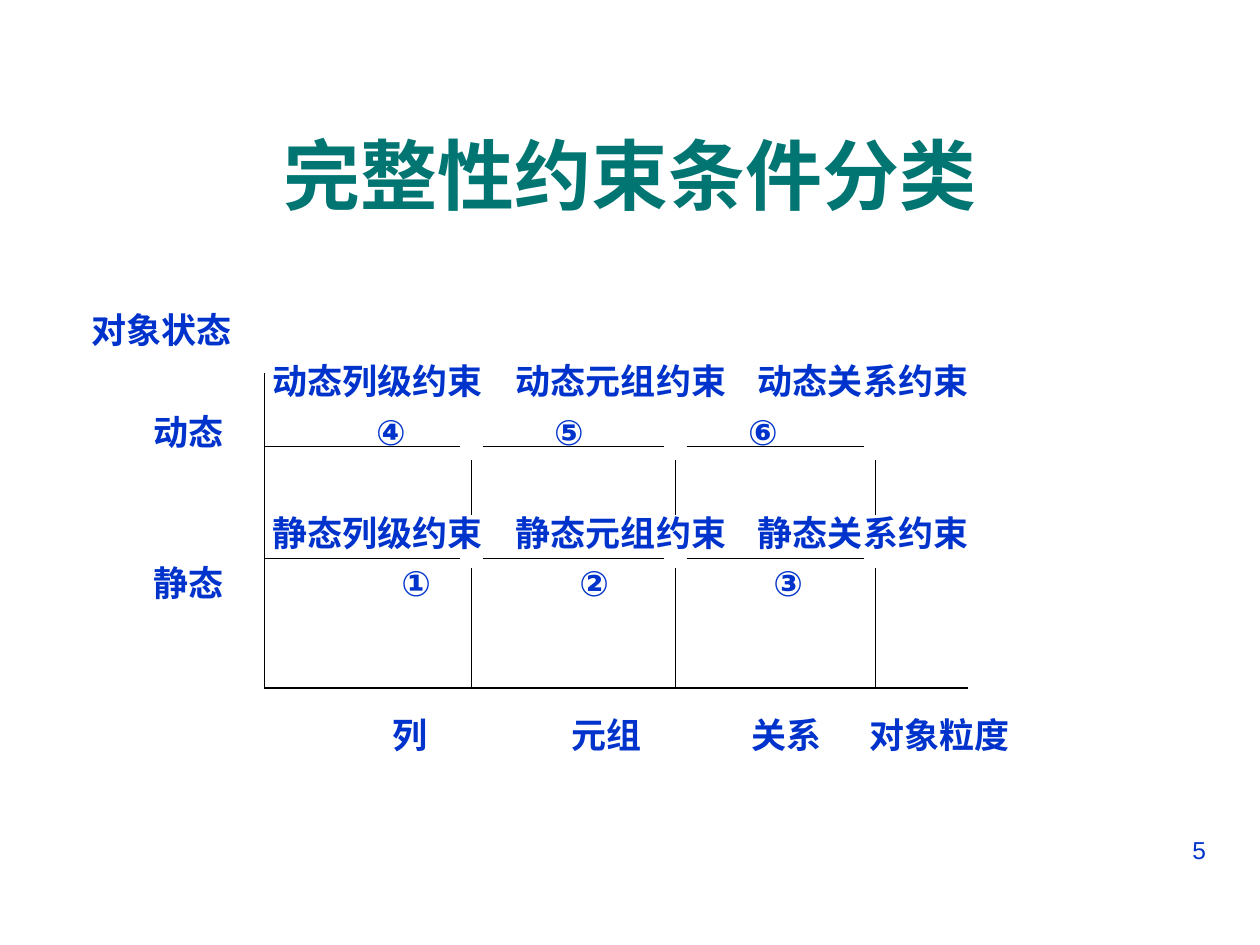
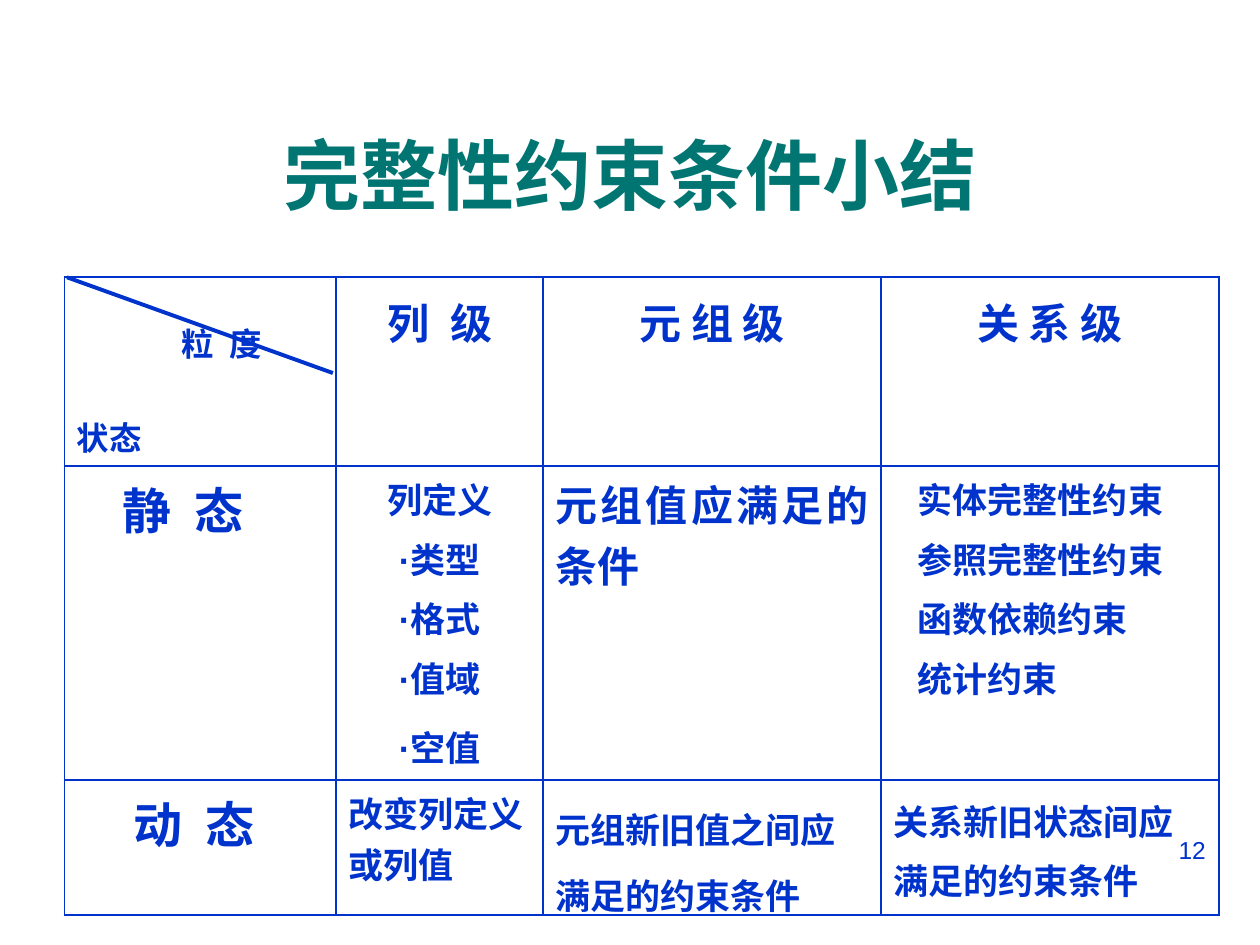
from lxml.etree import SubElement
from pptx import Presentation
from pptx.dml.color import RGBColor
from pptx.enum.shapes import MSO_CONNECTOR
from pptx.enum.text import MSO_ANCHOR, MSO_AUTO_SIZE, PP_ALIGN
from pptx.oxml.ns import qn
from pptx.util import Cm, Pt

BLUE, TEAL, BLACK = "0033CC", "007572", "000000"
FONT = "Arial"
LEFT, CENTER, RIGHT, JUSTIFY = PP_ALIGN.LEFT, PP_ALIGN.CENTER, PP_ALIGN.RIGHT, PP_ALIGN.JUSTIFY

CLASSES_TITLE = "完整性约束条件分类"
CLASSES_NUMBER = "5"
ROW_TOP, ROW_PITCH = 6.65, 1.02
LABEL_ROWS = [
    (0, [("对象状态", 3.25)]),
    (1, [("动态列级约束", 7.62), ("动态元组约束", 12.52), ("动态关系约束", 17.4)]),
    (2, [("动态", 3.81), ("④", 7.88), ("⑤", 11.47), ("⑥", 15.38)]),
    (4, [("静态列级约束", 7.62), ("静态元组约束", 12.52), ("静态关系约束", 17.4)]),
    (5, [("静态", 3.81), ("①", 8.39), ("②", 11.98), ("③", 15.89)]),
    (8, [("列", 8.27), ("元组", 12.22), ("关系", 15.85), ("对象粒度", 18.95)]),
]
GRANULARITY_EDGES = [5.33, 9.5, 13.61, 17.65]
STATE_LEVELS = [8.99, 11.25]
DIVIDER_SPANS = [(9.27, 10.39), (11.45, 13.87)]
AXIS_TOP, AXIS_BOTTOM, AXIS_END = 7.52, 13.87, 19.51
LEVEL_GAP = 0.23

SUMMARY_TITLE = "完整性约束条件小结"
SUMMARY_NUMBER = "12"
TABLE_LEFT, TABLE_TOP = 1.3, 5.59
COLUMN_WIDTHS = [5.48, 4.17, 6.81, 6.81]
ROW_HEIGHTS = [3.81, 6.33, 2.72]
CELL_TOP, HEADING_TOP, CORNER_TOP = 0.13, 0.28, 0.83
HEADING = dict(size=24, align=CENTER)
ITEM = dict(size=20, align=CENTER, before=5)
RELATION = dict(size=20, align=JUSTIFY, indent=0.49, before=5)
SUMMARY = [
    [
        [("粒 度", dict(size=18.5, indent=2.1, tracking=2.6)), ("状态", dict(size=18.5, before=27))],
        [("列 级", dict(HEADING, tracking=3.4))],
        [("元 组 级", HEADING)],
        [("关 系 级", HEADING)],
    ],
    [
        [("静 态", dict(size=28, indent=0.91, tracking=3.5))],
        [("列定义", ITEM), ("·类型", ITEM), ("·格式", ITEM), ("·值域", ITEM),
         ("·空值", dict(ITEM, before=10.5))],
        [("元组值应满足的条件", dict(size=24, align=JUSTIFY))],
        [(text, RELATION) for text in
         ("实体完整性约束", "参照完整性约束", "函数依赖约束", "统计约束")],
    ],
    [
        [("动 态", dict(size=28, indent=1.14, tracking=3.5))],
        [("改变列定义或列值", dict(size=20))],
        [("元组新旧值之间应满足的约束条件", dict(size=20, line_spacing=1.31))],
        [("关系新旧状态间应满足的约束条件", dict(size=20, line_spacing=1.16))],
    ],
]


def rgb(color):
    return RGBColor.from_string(color)


def write(frame, text, size=20, color=BLUE, bold=True, align=LEFT,
          indent=0, before=0, tracking=0, line_spacing=None):
    paragraph = frame.paragraphs[0]
    if paragraph.runs:
        paragraph = frame.add_paragraph()
        paragraph.space_before = Pt(before)
    paragraph.alignment = align
    if line_spacing:
        paragraph.line_spacing = line_spacing
    if indent:
        paragraph._p.get_or_add_pPr().set("marL", str(Cm(indent)))
    run = paragraph.add_run()
    run.text = text
    run.font.name, run.font.size, run.font.bold = FONT, Pt(size), bold
    run.font.color.rgb = rgb(color)
    if tracking:
        run._r.get_or_add_rPr().set("spc", str(round(tracking * 100)))


def add_text(slide, text, left, top, width, height, inset=0.0, anchor=MSO_ANCHOR.MIDDLE, **style):
    frame = slide.shapes.add_textbox(Cm(left), Cm(top), Cm(width), Cm(height)).text_frame
    frame.word_wrap = True
    frame.vertical_anchor = anchor
    frame.margin_left = frame.margin_right = Cm(inset)
    frame.margin_top = frame.margin_bottom = Cm(inset / 2)
    write(frame, text, **style)


def add_line(slide, x1, y1, x2, y2, width=0.5, color=BLACK):
    line = slide.shapes.add_connector(MSO_CONNECTOR.STRAIGHT, Cm(x1), Cm(y1), Cm(x2), Cm(y2))
    line.line.width = Pt(width)
    line.line.color.rgb = rgb(color)
    SubElement(line._element.spPr, qn("a:effectLst"))


def add_slide(deck, heading, number):
    slide = deck.slides.add_slide(deck.slide_layouts[5])
    title = slide.shapes.title
    title.left, title.top, title.width, title.height = Cm(0.84), Cm(1.91), Cm(23.72), Cm(3.18)
    title.text_frame.auto_size = MSO_AUTO_SIZE.NONE
    title.text_frame.vertical_anchor = MSO_ANCHOR.MIDDLE
    write(title.text_frame, heading, size=44, color=TEAL, align=CENTER)
    add_text(slide, number, 18.21, 16.71, 6.35, 1.32, inset=0.25,
             anchor=MSO_ANCHOR.TOP, size=14, bold=False, align=RIGHT)
    return slide


def border_cell(cell):
    properties = cell._tc.get_or_add_tcPr()
    for side in ("lnL", "lnR", "lnT", "lnB"):
        edge = SubElement(properties, qn(f"a:{side}"), w=str(Pt(1.08)))
        fill = SubElement(edge, qn("a:solidFill"))
        SubElement(fill, qn("a:srgbClr"), val=BLUE)
    cell.fill.background()


def build_classes(deck):
    slide = add_slide(deck, CLASSES_TITLE, CLASSES_NUMBER)
    for row, labels in LABEL_ROWS:
        for text, center in labels:
            width = 0.71 * len(text) + 0.4
            top = ROW_TOP + (row - 0.5) * ROW_PITCH
            add_text(slide, text, center - width / 2, top, width, ROW_PITCH, align=CENTER)

    origin = GRANULARITY_EDGES[0]
    for level in STATE_LEVELS:
        for start, end in zip(GRANULARITY_EDGES, GRANULARITY_EDGES[1:]):
            gap = 0 if start == origin else LEVEL_GAP
            add_line(slide, start + gap, level, end - LEVEL_GAP, level)
    for edge in GRANULARITY_EDGES[1:]:
        for top, bottom in DIVIDER_SPANS:
            add_line(slide, edge, top, edge, bottom)
    add_line(slide, origin, AXIS_BOTTOM, AXIS_END, AXIS_BOTTOM, width=0.75)
    add_line(slide, origin, AXIS_TOP, origin, AXIS_BOTTOM, width=0.75)


def build_summary(deck):
    slide = add_slide(deck, SUMMARY_TITLE, SUMMARY_NUMBER)
    table = slide.shapes.add_table(
        len(ROW_HEIGHTS), len(COLUMN_WIDTHS), Cm(TABLE_LEFT), Cm(TABLE_TOP),
        Cm(sum(COLUMN_WIDTHS)), Cm(sum(ROW_HEIGHTS))).table
    table.first_row = table.horz_banding = False
    for column, width in zip(table.columns, COLUMN_WIDTHS):
        column.width = Cm(width)
    for row, height in zip(table.rows, ROW_HEIGHTS):
        row.height = Cm(height)
    for r, contents in enumerate(SUMMARY):
        for c, paragraphs in enumerate(contents):
            cell = table.cell(r, c)
            border_cell(cell)
            cell.margin_left = cell.margin_right = Cm(0.25)
            cell.margin_bottom = Cm(CELL_TOP)
            cell.margin_top = Cm(CELL_TOP if r else HEADING_TOP if c else CORNER_TOP)
            for text, style in paragraphs:
                write(cell.text_frame, text, **style)
    add_line(slide, 1.35, TABLE_TOP, 6.71, 7.52, width=2.25, color=BLUE)


def main():
    deck = Presentation()
    deck.slide_width, deck.slide_height = Cm(25.4), Cm(19.05)
    build_classes(deck)
    build_summary(deck)
    deck.save("out.pptx")


if __name__ == "__main__":
    main()
